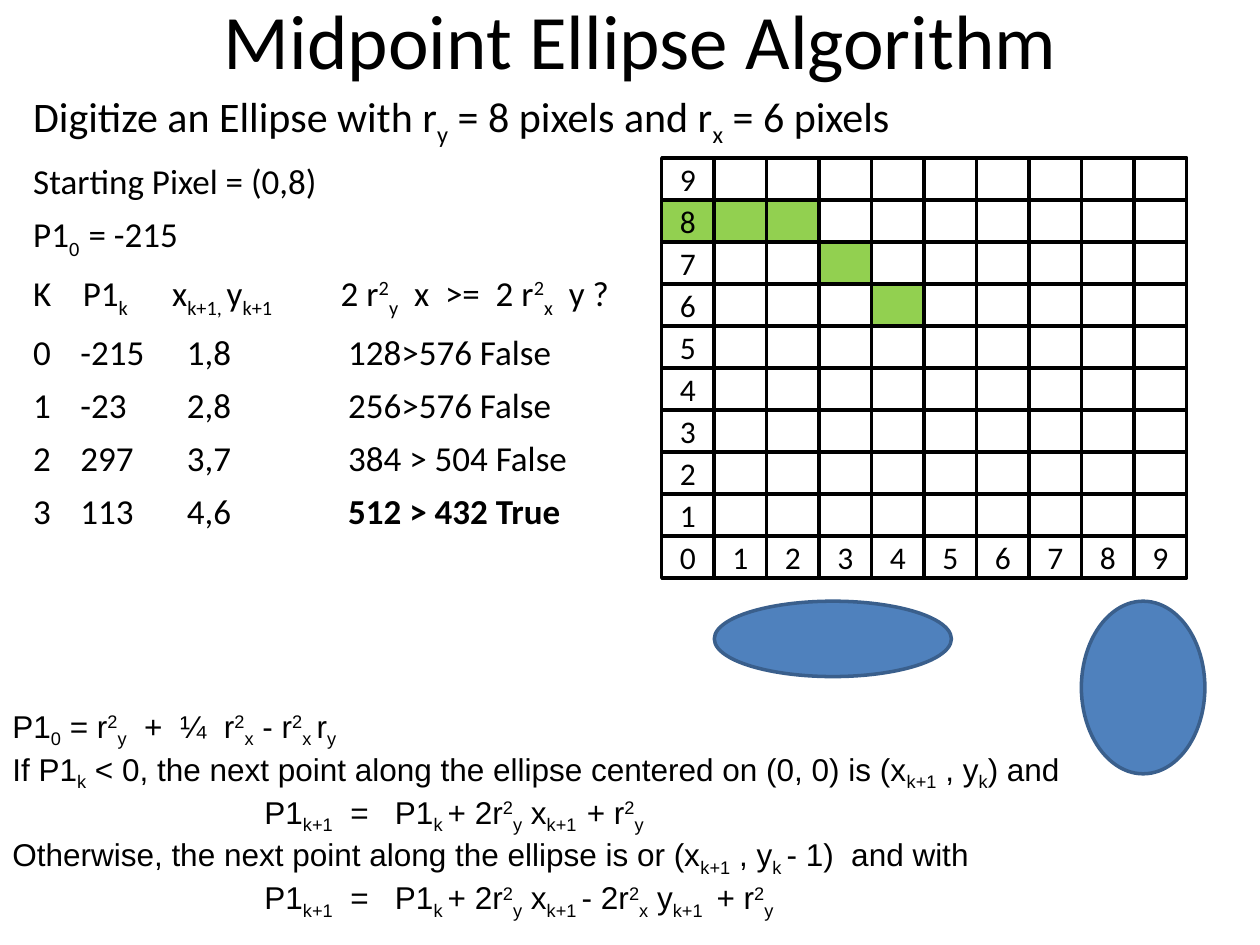
import pptx
import pptx.util
import pptx.dml.color
import pptx.enum.shapes
import pptx.enum.text
import pptx.oxml.ns
import lxml.etree

Cm = pptx.util.Cm
Pt = pptx.util.Pt
ALIGN = pptx.enum.text.PP_ALIGN
ANCHOR = pptx.enum.text.MSO_ANCHOR
SHAPE = pptx.enum.shapes.MSO_SHAPE

THEME = {
    "ink": "000000", "paper": "FFFFFF", "pixel": "92D050",
    "ellipse": "4F81BD", "ellipse_line": "3A5F8C",
    "body_font": "Calibri", "formula_font": "Arial",
    "title": 44, "lead": 24, "body": 20, "small": 18, "line": 2,
}

# Markup: {_sub}, {^super}, {*bold}
TITLE = "Midpoint Ellipse Algorithm"
LEAD = "Digitize an Ellipse with r{_y} = 8 pixels and r{_x} = 6 pixels"
START = ["Starting Pixel = (0,8)", "P1{_0  }= -215"]
HEADER = ["K", "P1{_k}", "x{_k+1, }y{_k+1}", "2 r{^2}{_y}  x  >=  2 r{^2}{_x}  y ?"]
STEPS = [
    ["0", "-215", "1,8", "128>576 False"],
    ["1", "-23", "2,8", "256>576 False"],
    ["2", "297", "3,7", "384 > 504 False"],
    ["3", "113", "4,6", "{*512 > 432 True}"],
]
HEADER_STOPS = (1.0, 2.8, 6.2)
STEP_STOPS = (0.95, 3.1, 6.35)

FORMULA_INDENT = 5.08
FORMULAS = [  # text, indent
    ("P1{_0} = r{^2}{_y}  +  ¼  r{^2}{_x} - r{^2}{_x }r{_y}", 0),
    ("If P1{_k} < 0, the next point along the ellipse centered on (0, 0) is "
     "(x{_k+1} , y{_k}) and", 0),
    ("P1{_k+1}  =   P1{_k }+ 2r{^2}{_y} x{_k+1  }+ r{^2}{_y}", FORMULA_INDENT),
    ("Otherwise, the next point along the ellipse is or (x{_k+1} , y{_k }- 1)  and with", 0),
    ("P1{_k+1}  =   P1{_k }+ 2r{^2}{_y} x{_k+1 }- 2r{^2}{_x} y{_k+1 } + r{^2}{_y}",
     FORMULA_INDENT),
]

GRID_LEFT, GRID_TOP, GRID_WIDTH, GRID_HEIGHT = 13.34, 3.18, 10.58, 8.47
GRID_COUNT = 10
PIXELS = {(0, 8), (1, 8), (2, 8), (3, 7), (4, 6)}
ELLIPSES = [(14.4, 12.12, 4.78, 1.52), (21.8, 12.12, 2.49, 3.48)]


def color(name):
    return pptx.dml.color.RGBColor.from_string(THEME[name])


def add_run(p, text, size, font, mark=""):
    r = p.add_run()
    r.text = text
    formats = {"size": Pt(THEME[size]), "name": THEME[font], "bold": mark == "*"}
    for key, value in formats.items():
        setattr(r.font, key, value)
    r.font.color.rgb = color("ink")
    if mark in ("_", "^"):
        r.font._element.set("baseline", "-25000" if mark == "_" else "30000")


def add_marked(p, text, size, font):
    """Split the markup into runs."""
    for chunk in text.split("{"):
        marked, closed, plain = chunk.partition("}")
        if closed:
            add_run(p, marked[1:], size, font, marked[0])
        else:
            plain = chunk
        if plain:
            add_run(p, plain, size, font)


def set_tabs(p, stops):
    tabs = lxml.etree.SubElement(p._p.get_or_add_pPr(), pptx.oxml.ns.qn("a:tabLst"))
    for stop in stops:
        lxml.etree.SubElement(tabs, pptx.oxml.ns.qn("a:tab"), pos=str(Cm(stop)), algn="l")


def add_text(slide, box, anchor, paragraphs, font):
    """Each paragraph is a dict: text, size and optional align, before, indent, stops."""
    tf = slide.shapes.add_textbox(*map(Cm, box)).text_frame
    tf.word_wrap = True
    tf.vertical_anchor = anchor
    for i, item in enumerate(paragraphs):
        p = tf.paragraphs[0] if i == 0 else tf.add_paragraph()
        p.alignment = item.get("align", ALIGN.LEFT)
        p.space_before = Pt(item.get("before", 0))
        if item.get("indent"):
            p._p.get_or_add_pPr().set("marL", str(Cm(item["indent"])))
        if item.get("stops"):
            set_tabs(p, item["stops"])
        add_marked(p, item["text"], item["size"], font)


def add_filled(slide, kind, box, fill, line):
    sp = slide.shapes.add_shape(kind, *map(Cm, box))
    sp.shadow.inherit = False
    sp.fill.solid()
    sp.fill.fore_color.rgb = color(fill)
    sp.line.color.rgb = color(line)
    sp.line.width = Pt(THEME["line"])
    return sp


def add_grid(slide):
    w, h = GRID_WIDTH / GRID_COUNT, GRID_HEIGHT / GRID_COUNT
    for y in reversed(range(GRID_COUNT)):
        for x in range(GRID_COUNT):
            box = (GRID_LEFT + x * w, GRID_TOP + (GRID_COUNT - 1 - y) * h, w, h)
            fill = "pixel" if (x, y) in PIXELS else "paper"
            sp = add_filled(slide, SHAPE.RECTANGLE, box, fill, "ink")
            if x == 0 or y == 0:
                tf = sp.text_frame
                tf.vertical_anchor = ANCHOR.MIDDLE
                tf.paragraphs[0].alignment = ALIGN.CENTER
                add_run(tf.paragraphs[0], str(x or y), "small", "body_font")


def main():
    prs = pptx.Presentation()
    prs.slide_width, prs.slide_height = Cm(25.4), Cm(19.05)
    slide = prs.slides.add_slide(prs.slide_layouts[6])

    title = {"text": TITLE, "size": "title", "align": ALIGN.CENTER}
    add_text(slide, (2.12, -1.27, 21.59, 4.09), ANCHOR.MIDDLE, [title], "body_font")

    rows = [(text, None) for text in START] + [("\t".join(HEADER), HEADER_STOPS)]
    rows += [("\t".join(step), STEP_STOPS) for step in STEPS]
    body = [{"text": LEAD, "size": "lead", "align": ALIGN.JUSTIFY}]
    body += [{"text": text, "size": "body", "align": ALIGN.JUSTIFY, "before": 6.4,
              "stops": stops} for text, stops in rows]
    add_text(slide, (0.42, 1.7, 24.56, 16.08), ANCHOR.TOP, body, "body_font")

    formulas = [{"text": text, "size": "small", "indent": indent}
                for text, indent in FORMULAS]
    add_text(slide, (0, 14.12, 25.4, 4.11), ANCHOR.TOP, formulas, "formula_font")

    add_grid(slide)
    for box in ELLIPSES:
        add_filled(slide, SHAPE.OVAL, box, "ellipse", "ellipse_line")
    prs.save("out.pptx")


if __name__ == "__main__":
    main()
